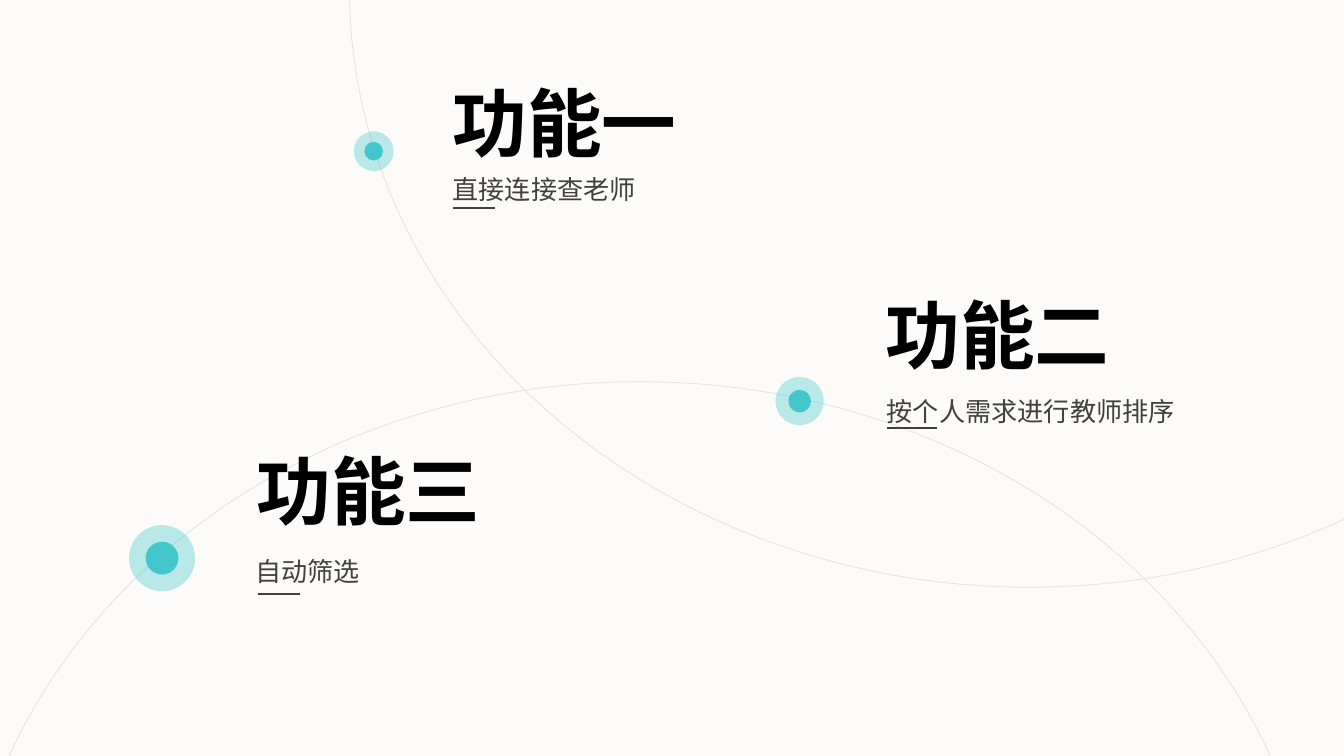
"""Build a slide with three features placed along two crossing orbits."""
from lxml.etree import SubElement
from pptx import Presentation
from pptx.dml.color import RGBColor
from pptx.enum.shapes import MSO_CONNECTOR, MSO_SHAPE
from pptx.enum.text import MSO_AUTO_SIZE
from pptx.oxml.ns import qn
from pptx.util import Pt

BACKGROUND = RGBColor(0xFC, 0xFB, 0xF9)
ORBIT = RGBColor(0xE6, 0xE6, 0xE6)
TEAL = RGBColor(0x43, 0xC7, 0xCB)
BLACK = RGBColor(0, 0, 0)
GRAY = RGBColor(0x40, 0x40, 0x40)
FONT = "Noto Sans CJK SC"

presentation = Presentation()
presentation.slide_width, presentation.slide_height = Pt(720), Pt(405)
slide = presentation.slides.add_slide(presentation.slide_layouts[6])
slide.background.fill.solid()
slide.background.fill.fore_color.rgb = BACKGROUND


def add_text(text, left, top, width, height, size, color, bold=False):
    box = slide.shapes.add_textbox(Pt(left), Pt(top), Pt(width), Pt(height))
    frame = box.text_frame
    frame.word_wrap = False
    frame.auto_size = MSO_AUTO_SIZE.SHAPE_TO_FIT_TEXT
    run = frame.paragraphs[0].add_run()
    run.text = text
    run.font.name = FONT
    run.font.size = Pt(size)
    run.font.bold = bold
    run.font.color.rgb = color
    SubElement(run.font._element, qn("a:ea"), typeface=FONT)


def add_ellipse(center_x, center_y, width, height):
    shape = slide.shapes.add_shape(
        MSO_SHAPE.OVAL, Pt(center_x - width / 2), Pt(center_y - height / 2), Pt(width), Pt(height)
    )
    shape.shadow.inherit = False
    return shape


for center_x, center_y in [(342.7, 524.9), (551.5, -5.8)]:
    orbit = add_ellipse(center_x, center_y, 728.6, 640.8)
    orbit.fill.background()
    orbit.line.color.rgb = ORBIT
    orbit.line.width = Pt(0.5)

markers = [(200.2, 81, 21.3, 10), (86.8, 299, 35.4, 17.6), (428.4, 214.9, 25.8, 12)]
for center_x, center_y, halo_size, dot_size in markers:
    for size, opacity in [(halo_size, 36), (dot_size, 100)]:
        circle = add_ellipse(center_x, center_y, size, size)
        circle.fill.solid()
        circle.fill.fore_color.rgb = TEAL
        circle.line.fill.background()
        if opacity < 100:
            color = circle._element.spPr.find(qn("a:solidFill"))[0]
            SubElement(color, qn("a:alpha"), val=str(opacity * 1000))

features = [
    ("功能一", (235.4, 37.4), "直接连接查老师", (235.4, 89.3, 113.8), (242.6, 111.6, 22.6)),
    ("功能二", (467.3, 151.2), "按个人需求进行教师排序", (468, 208.1, 170), (475.2, 229.4, 26.8)),
    ("功能三", (130.3, 234.7), "自动筛选", (129.6, 293.8, 71.3), (138.2, 318.2, 22.5)),
]
for heading, heading_position, detail, detail_box, (left, top, length) in features:
    add_text(heading, *heading_position, 135.4, 55.4, size=40, color=BLACK, bold=True)
    add_text(detail, *detail_box, 24.5, size=14, color=GRAY)
    underline = slide.shapes.add_connector(
        MSO_CONNECTOR.STRAIGHT, Pt(left), Pt(top), Pt(left + length), Pt(top)
    )
    underline.line.color.rgb = GRAY
    underline.line.width = Pt(1)
    SubElement(underline._element.spPr, qn("a:effectLst"))

presentation.save("out.pptx")
